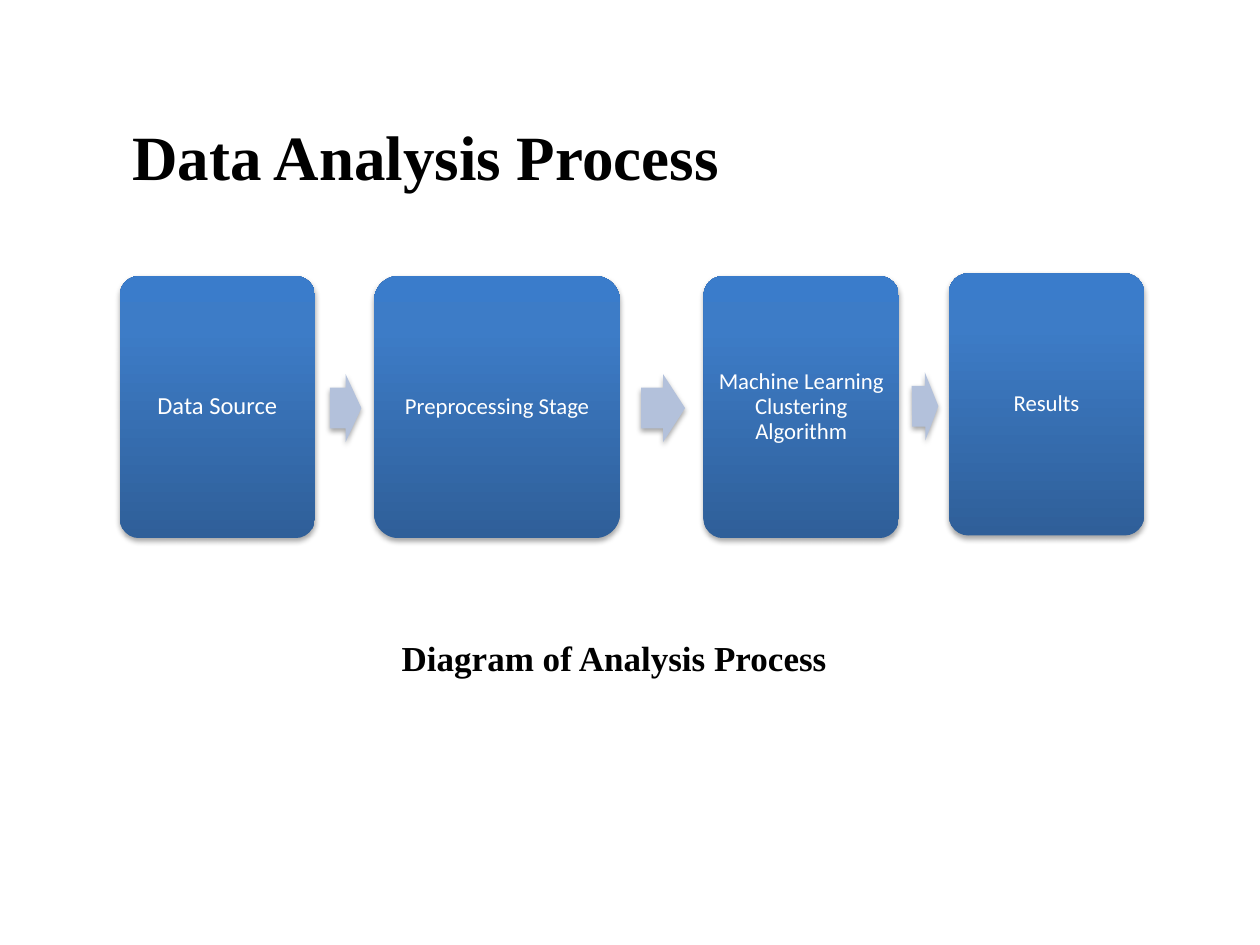
from copy import deepcopy
from dataclasses import dataclass

from lxml import etree
from pptx import Presentation
from pptx.dml.color import RGBColor
from pptx.enum.shapes import MSO_SHAPE
from pptx.enum.text import MSO_ANCHOR, MSO_AUTO_SIZE, PP_ALIGN
from pptx.oxml.ns import qn
from pptx.util import Pt

ROUND, ARROW, RECT = (MSO_SHAPE.ROUNDED_RECTANGLE, MSO_SHAPE.RIGHT_ARROW,
                      MSO_SHAPE.RECTANGLE)
CENTER, JUSTIFY = PP_ALIGN.CENTER, PP_ALIGN.JUSTIFY
MIDDLE, TOP = MSO_ANCHOR.MIDDLE, MSO_ANCHOR.TOP
GROW = MSO_AUTO_SIZE.SHAPE_TO_FIT_TEXT

WHITE = RGBColor(0xFF, 0xFF, 0xFF)
BLACK = RGBColor(0x00, 0x00, 0x00)
PALE = RGBColor(0xB3, 0xC1, 0xDB)
# Gradient stops, from the bottom of a box to its top
BLUES = ((0, RGBColor(0x2F, 0x5F, 0x99)),
         (0.8, RGBColor(0x3D, 0x7C, 0xC7)),
         (1, RGBColor(0x3A, 0x7C, 0xCB)))
SANS, SERIF = "Calibri", "Times New Roman"
BOX_H, ARROW_H = 149.8, 38.9


@dataclass
class Stage:
    text: str
    left: float
    top: float = 157.7
    width: float = 111.6
    size: float = 13
    inset: float = 3.6


@dataclass
class Step:
    left: float
    width: float
    top: float = 213.8
    turn: float = 0


STAGES = (
    Stage("Data Source", 68.4, size=14, inset=4.2),
    Stage("Preprocessing Stage", 213.8, width=140.4),
    Stage("Machine Learning Clustering Algorithm", 402),
    Stage("Results", 542.2, top=156.2),
)
STEPS = (Step(188.5, 18), Step(366.3, 25.2), Step(521.1, 15.1, 212.7, 359.5))


def write(shape, text: str, *, size: float, font: str, color: RGBColor,
          bold: bool = False, align=CENTER, anchor=MIDDLE,
          spacing: float = 1, after: float = 0, wrap: bool = True,
          inset: float | None = None) -> None:
    frame = shape.text_frame
    frame.word_wrap = wrap
    frame.vertical_anchor = anchor
    if inset is not None:
        frame.margin_left = frame.margin_right = Pt(inset)
        frame.margin_top = frame.margin_bottom = Pt(inset)
    para = frame.paragraphs[0]
    para.alignment, para.line_spacing = align, spacing
    para.space_after = Pt(after)
    run = para.add_run()
    run.text = text
    run.font.size, run.font.name, run.font.bold = Pt(size), font, bold
    run.font.color.rgb = color


def add_form(shapes, kind, left: float, top: float, width: float,
             height: float):
    form = shapes.add_shape(kind, Pt(left), Pt(top), Pt(width), Pt(height))
    form.shadow.inherit = False
    form.line.fill.background()
    return form


def add_glow(form) -> None:
    """Give the form a soft shadow just below it."""
    effects = form.element.spPr.find(qn("a:effectLst"))
    shade = etree.SubElement(effects, qn("a:outerShdw"), blurRad=str(Pt(3.1)),
                             dist=str(Pt(1.8)), dir="5400000",
                             rotWithShape="0")
    tint = etree.SubElement(shade, qn("a:srgbClr"), val=str(BLACK))
    etree.SubElement(tint, qn("a:alpha"), val="35000")


def fill_blue(form) -> None:
    form.fill.gradient()
    form.fill.gradient_angle = 90
    stops = form.element.spPr.find(qn("a:gradFill")).find(qn("a:gsLst"))
    stops.append(deepcopy(stops[-1]))
    for stop, (place, color) in zip(form.fill.gradient_stops, BLUES):
        stop.position, stop.color.rgb = place, color


def add_stage(shapes, stage: Stage) -> None:
    box = add_form(shapes, ROUND, stage.left, stage.top, stage.width, BOX_H)
    box.adjustments[0] = 0.1
    fill_blue(box)
    add_glow(box)
    write(box, stage.text, size=stage.size, font=SANS, color=WHITE,
          spacing=0.9, after=5, inset=stage.inset)


def add_step(shapes, step: Step) -> None:
    arrow = add_form(shapes, ARROW, step.left, step.top, step.width, ARROW_H)
    arrow.adjustments[0], arrow.adjustments[1] = 0.6, 0.5
    arrow.rotation = step.turn
    arrow.fill.solid()
    arrow.fill.fore_color.rgb = PALE
    add_glow(arrow)


def main() -> None:
    deck = Presentation()
    deck.slide_width, deck.slide_height = Pt(720), Pt(540)
    shapes = deck.slides.add_slide(deck.slide_layouts[6]).shapes

    # Process: boxes with arrows between them
    for i, stage in enumerate(STAGES):
        add_stage(shapes, stage)
        if i < len(STEPS):
            add_step(shapes, STEPS[i])

    # Caption
    label = add_form(shapes, RECT, 149, 357.8, 403.9, 33.8)
    label.fill.solid()
    label.fill.fore_color.rgb = WHITE
    write(label, "Diagram of Analysis Process", size=20, font=SERIF,
          color=BLACK, bold=True, spacing=1.07, after=8)

    # Title
    title = shapes.add_textbox(Pt(68.4), Pt(41.8), Pt(353.5), Pt(65.5))
    write(title, "Data Analysis Process", size=36, font=SERIF, color=BLACK,
          bold=True, align=JUSTIFY, anchor=TOP, spacing=1.5, wrap=False)
    title.text_frame.auto_size = GROW

    deck.save("out.pptx")


if __name__ == "__main__":
    main()
